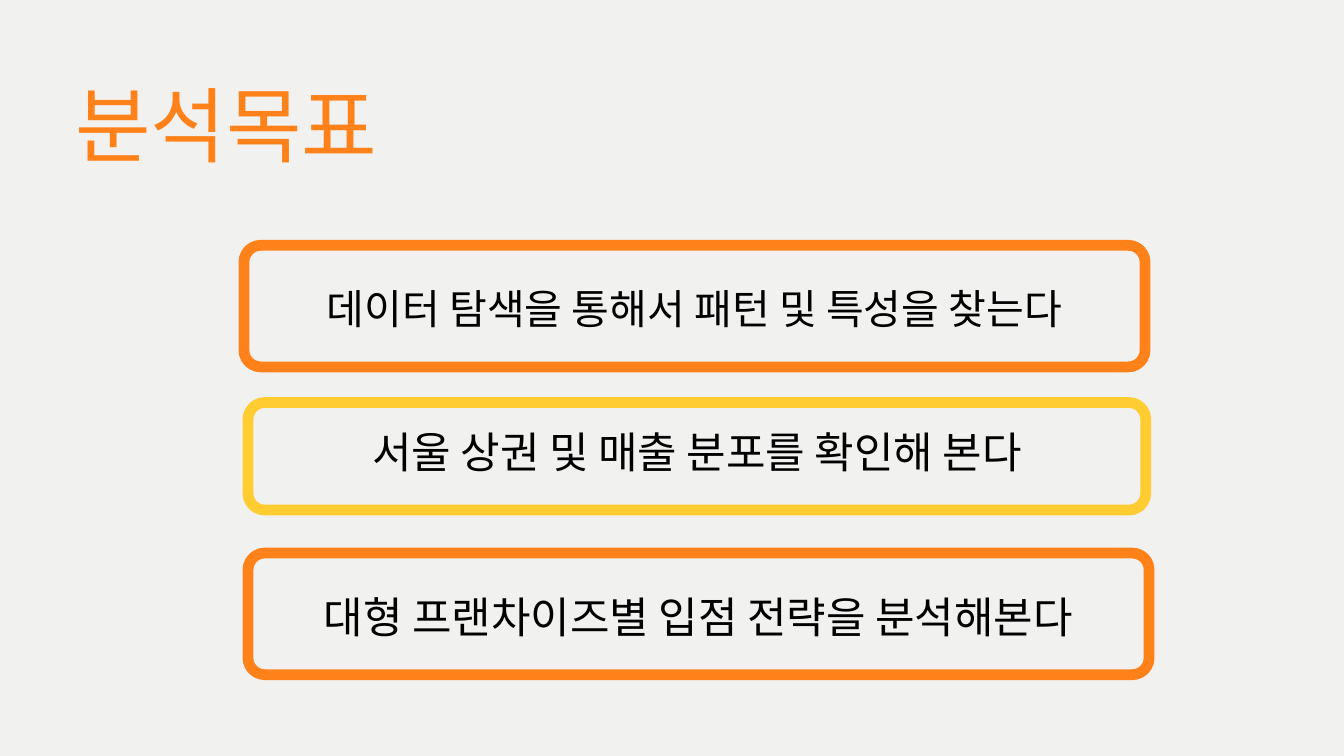
from pptx import Presentation
from pptx.dml.color import RGBColor
from pptx.enum.shapes import MSO_SHAPE
from pptx.enum.text import MSO_ANCHOR, MSO_AUTO_SIZE, PP_ALIGN
from pptx.util import Inches, Pt

ROUND = MSO_SHAPE.ROUNDED_RECTANGLE
TOP = MSO_ANCHOR.TOP
FIXED = MSO_AUTO_SIZE.NONE
LEFT, CENTER = PP_ALIGN.LEFT, PP_ALIGN.CENTER

FONT = "Calibri"
ORANGE, YELLOW, BLACK, PAPER = "FF811A", "FFCC32", "000000", "F1F1F0"
EDGE = 0.16    # thickness of a frame
RADIUS = 0.25  # corner radius along the middle of the edge

# Each goal: frame box, frame colour, text box, text, size
GOALS = [
    ((3.55, 3.57, 13.57, 1.97), ORANGE, (4.17, 4.1, 12.34, 0.83),
     "데이터 탐색을 통해서 패턴 및 특성을 찾는다", 44),
    ((3.61, 5.91, 13.52, 1.76), YELLOW, (3.61, 6.21, 13.52, 0.86),
     "서울 상권 및 매출 분포를 확인해 본다", 46),
    ((3.61, 8.15, 13.57, 1.97), ORANGE, (4.44, 8.66, 11.9, 0.86),
     "대형 프랜차이즈별 입점 전략을 분석해본다", 46),
]


def color(code):
    return RGBColor.from_string(code)


def write(shape, text, size, code, align, pitch):
    """Fill a shape with one line of text, without margins."""
    frame = shape.text_frame
    frame.text = text
    frame.word_wrap = True
    frame.auto_size = FIXED
    frame.vertical_anchor = TOP
    frame.margin_left = frame.margin_right = 0
    frame.margin_top = frame.margin_bottom = 0
    para = frame.paragraphs[0]
    para.alignment = align
    para.line_spacing = Pt(pitch)
    font = para.runs[0].font
    font.name, font.size = FONT, Pt(size)
    font.color.rgb = color(code)


def add_title(slide, text):
    title = slide.shapes.title
    title.left, title.top = Inches(1.12), Inches(1.11)
    title.width, title.height = Inches(17.56), Inches(1.47)
    write(title, text, 88, ORANGE, LEFT, 105.6)


def add_frame(slide, box, code):
    """Draw a hollow rounded frame whose edge lies inside the box."""
    x, y, w, h = box
    w, h = w - EDGE, h - EDGE
    shape = slide.shapes.add_shape(
        ROUND, Inches(x + EDGE / 2), Inches(y + EDGE / 2), Inches(w), Inches(h))
    shape.adjustments[0] = RADIUS / min(w, h)
    shape.shadow.inherit = False
    shape.fill.background()
    shape.line.color.rgb = color(code)
    shape.line.width = Inches(EDGE)


def add_label(slide, box, text, size):
    label = slide.shapes.add_textbox(*map(Inches, box))
    write(label, text, size, BLACK, CENTER, size * 1.4)


def main():
    deck = Presentation()
    deck.slide_width, deck.slide_height = Inches(20), Inches(11.25)
    slide = deck.slides.add_slide(deck.slide_layouts[5])

    # Background
    fill = slide.background.fill
    fill.solid()
    fill.fore_color.rgb = color(PAPER)

    # Title and framed goals
    add_title(slide, "분석목표")
    for box, code, area, text, size in GOALS:
        add_frame(slide, box, code)
        add_label(slide, area, text, size)

    deck.save("out.pptx")


if __name__ == "__main__":
    main()
